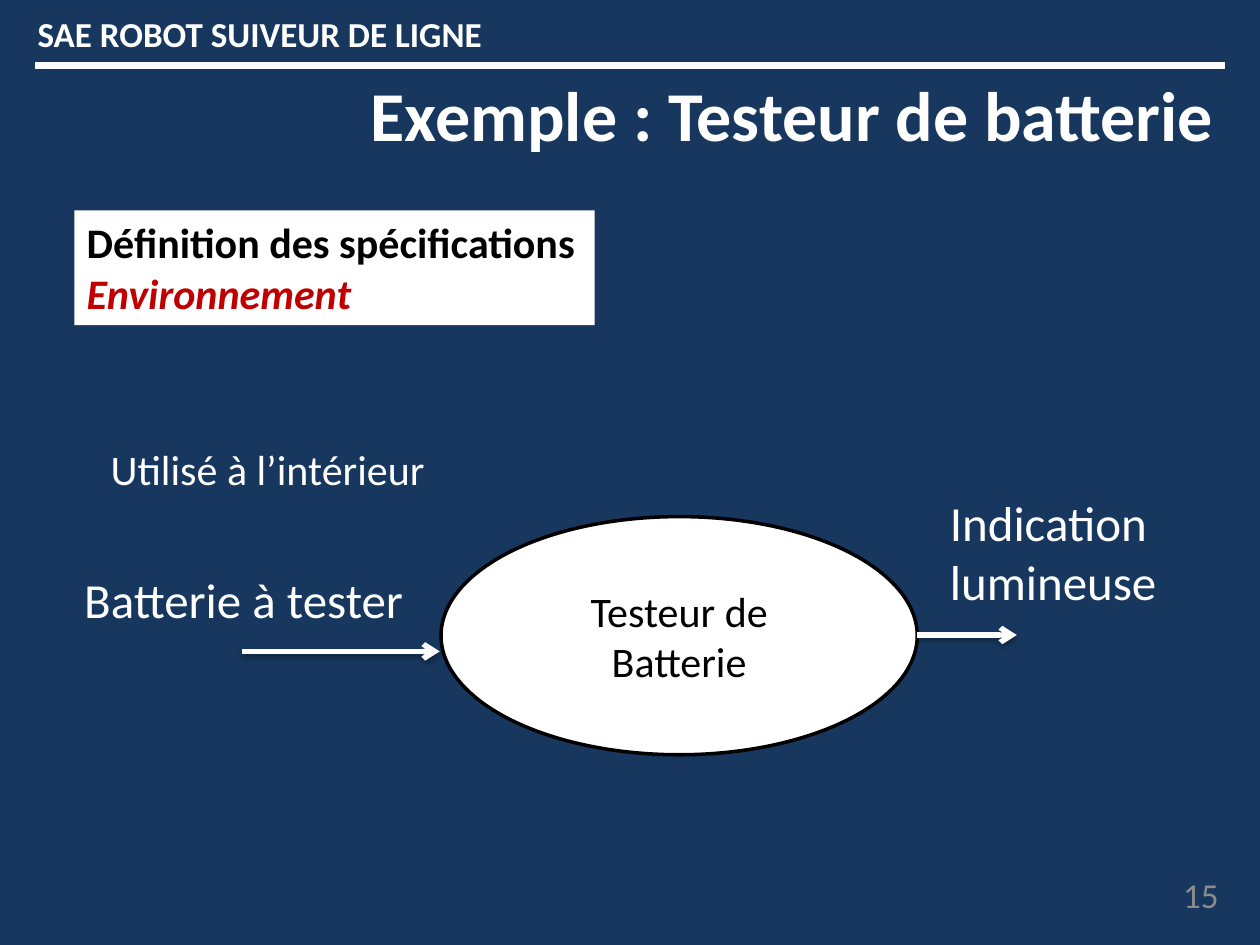
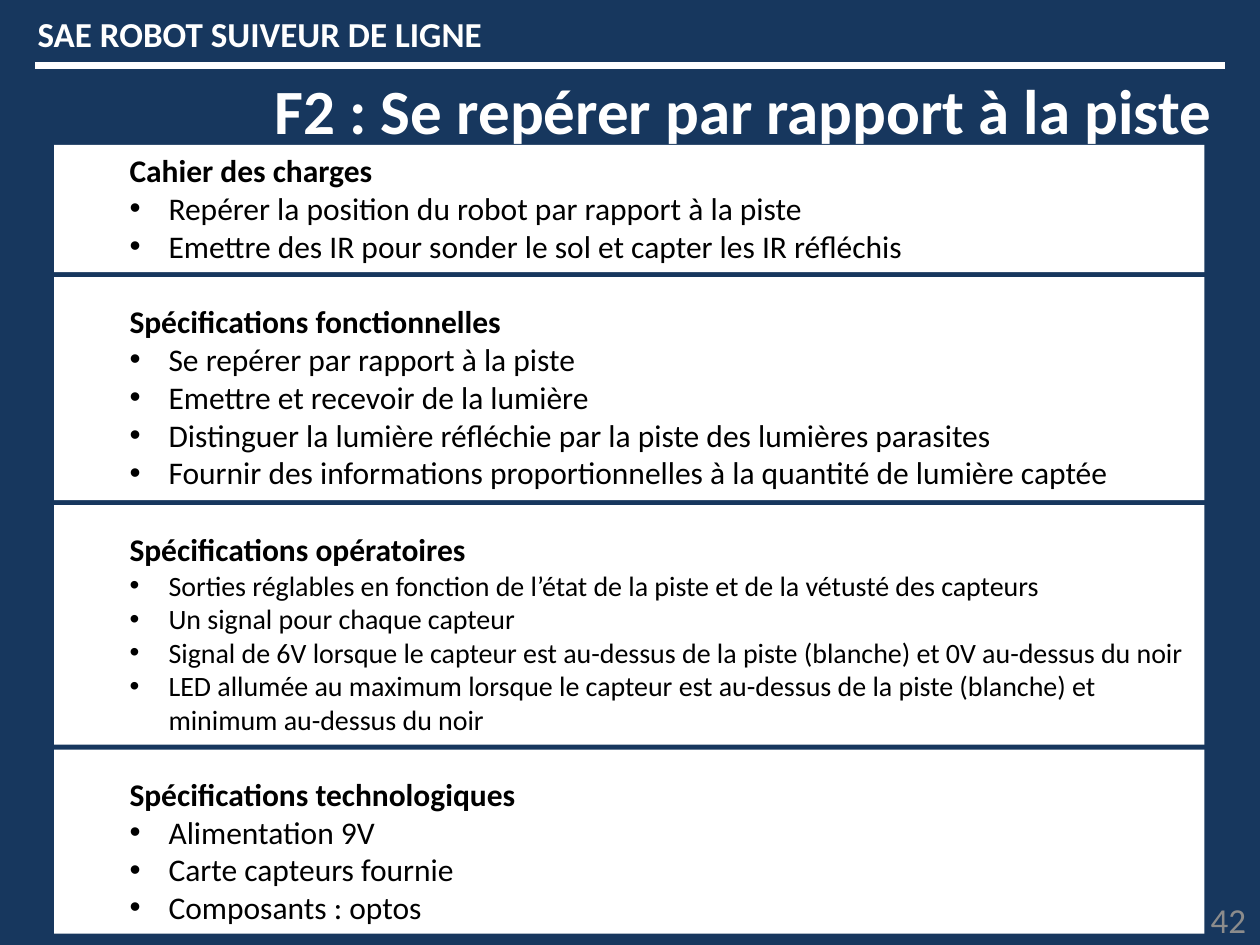
from dataclasses import dataclass

from lxml.etree import SubElement
from pptx import Presentation
from pptx.dml.color import RGBColor
from pptx.enum.shapes import MSO_CONNECTOR, MSO_SHAPE
from pptx.enum.text import MSO_ANCHOR, PP_ALIGN
from pptx.oxml.ns import qn
from pptx.presentation import Presentation as Deck
from pptx.shapes.autoshape import Shape
from pptx.shapes.connector import Connector
from pptx.slide import Slide
from pptx.text.text import TextFrame, _Paragraph as Paragraph
from pptx.util import Inches, Pt

NAVY = RGBColor(0x17, 0x37, 0x5E)
WHITE = RGBColor(0xFF, 0xFF, 0xFF)
BLACK = RGBColor(0x00, 0x00, 0x00)
RED = RGBColor(0xC0, 0x00, 0x00)
GREY = RGBColor(0x8C, 0x8C, 0x8C)

FONT = "Calibri"
HEADER = "SAE ROBOT SUIVEUR DE LIGNE"
TITLE_ONLY = 5

CARD_LEFT, CARD_TOP, CARD_WIDTH, CARD_GAP = 0.43, 1.15, 9.13, 0.04
HEADING_INDENT, BULLET_INDENT, BULLET_HANG = 0.5, 0.81, 0.31


@dataclass(frozen=True)
class Area:
    """A rectangle in inches."""
    left: float
    top: float
    width: float
    height: float

    def lengths(self) -> tuple[int, ...]:
        return tuple(Inches(value) for value in
                     (self.left, self.top, self.width, self.height))


@dataclass(frozen=True)
class Style:
    size: float
    color: RGBColor = WHITE
    bold: bool = False
    italic: bool = False


@dataclass(frozen=True)
class Label:
    text: str
    area: Area
    size: float


@dataclass(frozen=True)
class Arrow:
    start: float
    end: float
    height: float


@dataclass(frozen=True)
class Card:
    heading: str
    bullets: tuple[str, ...]
    height: float
    bullet_size: float = 18
    heading_spacing: float = 1.5


LABELS = (
    Label("Indication lumineuse", Area(7.44, 3.86, 1.89, 1.04), 28),
    Label("Batterie à tester", Area(0.57, 4.47, 2.77, 0.57), 28),
    Label("Utilisé à l’intérieur", Area(0.78, 3.47, 2.72, 0.5), 24),
)

ARROWS = (Arrow(7.28, 8.07, 5.04), Arrow(1.92, 3.49, 5.17))

CARDS = (
    Card("Cahier des charges", (
        "Repérer la position du robot par rapport à la piste",
        "Emettre des IR pour sonder le sol et capter les IR réfléchis",
    ), 1.01, heading_spacing=1.0),
    Card("Spécifications fonctionnelles", (
        "Se repérer par rapport à la piste",
        "Emettre et recevoir de la lumière",
        "Distinguer la lumière réfléchie par la piste des lumières parasites",
        "Fournir des informations proportionnelles à la quantité de lumière captée",
    ), 1.77),
    Card("Spécifications opératoires", (
        "Sorties réglables en fonction de l’état de la piste et de la vétusté des capteurs",
        "Un signal pour chaque capteur",
        "Signal de 6V lorsque le capteur est au-dessus de la piste (blanche) et 0V au-dessus du noir",
        "LED allumée au maximum lorsque le capteur est au-dessus de la piste (blanche) et "
        "minimum au-dessus du noir",
    ), 1.9, bullet_size=16),
    Card("Spécifications technologiques", (
        "Alimentation 9V",
        "Carte capteurs fournie",
        "Composants : optos",
    ), 1.46),
)


def add_span(para: Paragraph, text: str, style: Style) -> None:
    span = para.add_run()
    span.text = text
    span.font.name = FONT
    span.font.size = Pt(style.size)
    span.font.color.rgb = style.color
    span.font.bold = style.bold
    span.font.italic = style.italic


def add_line(frame: TextFrame, text: str, style: Style,
             align: PP_ALIGN = PP_ALIGN.LEFT) -> Paragraph:
    """Write a paragraph, using the empty first one when there is no text yet."""
    para = frame.paragraphs[0] if not frame.text else frame.add_paragraph()
    para.alignment = align
    add_span(para, text, style)
    return para


def indent(para: Paragraph, left: float, hang: float = 0) -> None:
    """Indent a paragraph; a hanging indent also gets a bullet."""
    properties = para._p.get_or_add_pPr()
    properties.set("marL", str(Inches(left)))
    properties.set("indent", str(-Inches(hang)))
    if hang:
        SubElement(properties, qn("a:buFont"), typeface="Arial")
        SubElement(properties, qn("a:buChar"), char="•")


def add_text(page: Slide, text: str, area: Area, style: Style,
             align: PP_ALIGN = PP_ALIGN.LEFT,
             anchor: MSO_ANCHOR = MSO_ANCHOR.TOP) -> None:
    frame = page.shapes.add_textbox(*area.lengths()).text_frame
    frame.word_wrap = True
    frame.vertical_anchor = anchor
    add_line(frame, text, style, align)


def add_white_shape(page: Slide, kind: MSO_SHAPE, area: Area) -> Shape:
    shape = page.shapes.add_shape(kind, *area.lengths())
    shape.shadow.inherit = False
    shape.fill.solid()
    shape.fill.fore_color.rgb = WHITE
    shape.line.fill.background()
    shape.text_frame.word_wrap = True
    shape.text_frame.vertical_anchor = MSO_ANCHOR.TOP
    return shape


def add_rule(page: Slide, start: float, end: float, height: float,
             weight: float) -> Connector:
    """Draw a horizontal white line without a shadow."""
    rule = page.shapes.add_connector(
        MSO_CONNECTOR.STRAIGHT, Inches(start), Inches(height),
        Inches(end), Inches(height))
    rule.line.color.rgb = WHITE
    rule.line.width = Pt(weight)
    SubElement(rule._element.spPr, qn("a:effectLst"))
    return rule


def add_arrow(page: Slide, arrow: Arrow) -> None:
    """Draw a line with an arrowhead and a soft shadow below it."""
    rule = add_rule(page, arrow.start, arrow.end, arrow.height, 3)
    SubElement(rule.line._get_or_add_ln(), qn("a:tailEnd"), type="arrow")
    effects = rule._element.spPr.find(qn("a:effectLst"))
    shadow = SubElement(effects, qn("a:outerShdw"), blurRad=str(Pt(3.1)),
                        dist=str(Pt(1.8)), dir="5400000", rotWithShape="0")
    color = SubElement(shadow, qn("a:srgbClr"), val=str(BLACK))
    SubElement(color, qn("a:alpha"), val="35000")


def add_page(deck: Deck, title: str, title_area: Area, title_size: float,
             number: str, number_area: Area) -> Slide:
    """Start a slide with its title, header band and number."""
    page = deck.slides.add_slide(deck.slide_layouts[TITLE_ONLY])
    box = page.shapes.title
    box.left, box.top, box.width, box.height = title_area.lengths()
    box.text_frame.word_wrap = True
    box.text_frame.vertical_anchor = MSO_ANCHOR.TOP
    add_line(box.text_frame, title, Style(title_size, bold=True), PP_ALIGN.RIGHT)
    add_rule(page, 0.28, 9.72, 0.52, 4)
    add_text(page, HEADER, Area(0.2, 0.05, 3.76, 0.44), Style(20, bold=True))
    add_text(page, number, number_area, Style(20, GREY),
             PP_ALIGN.RIGHT, MSO_ANCHOR.MIDDLE)
    return page


def add_card(page: Slide, card: Card, top: float) -> None:
    area = Area(CARD_LEFT, top, CARD_WIDTH, card.height)
    frame = add_white_shape(page, MSO_SHAPE.RECTANGLE, area).text_frame
    heading = add_line(frame, card.heading, Style(18, BLACK, bold=True))
    heading.line_spacing = card.heading_spacing
    indent(heading, HEADING_INDENT)
    for bullet in card.bullets:
        para = add_line(frame, bullet, Style(card.bullet_size, BLACK))
        indent(para, BULLET_INDENT, BULLET_HANG)


def build_battery_tester(deck: Deck) -> None:
    page = add_page(deck, "Exemple : Testeur de batterie",
                    Area(2.75, 0.52, 6.98, 1.11), 40,
                    "15", Area(7.44, 6.9, 2.33, 0.4))

    tester = add_white_shape(page, MSO_SHAPE.OVAL, Area(3.5, 4.1, 3.78, 1.89))
    tester.line.color.rgb = BLACK
    tester.line.width = Pt(2)
    tester.text_frame.vertical_anchor = MSO_ANCHOR.MIDDLE
    add_line(tester.text_frame, "Testeur de Batterie", Style(24, BLACK),
             PP_ALIGN.CENTER)

    for arrow in ARROWS:
        add_arrow(page, arrow)
    for label in LABELS:
        add_text(page, label.text, label.area, Style(label.size))

    step = add_white_shape(page, MSO_SHAPE.RECTANGLE, Area(0.59, 1.67, 4.13, 0.91))
    add_line(step.text_frame, "Définition des spécifications",
             Style(24, BLACK, bold=True))
    add_line(step.text_frame, "Environnement",
             Style(24, RED, bold=True, italic=True))


def build_track_function(deck: Deck) -> None:
    page = add_page(deck, "F2 : Se repérer par rapport à la piste",
                    Area(2.01, 0.52, 7.71, 0.71), 36,
                    "42", Area(7.66, 7.1, 2.33, 0.4))
    top = CARD_TOP
    for card in CARDS:
        add_card(page, card, top)
        top += card.height + CARD_GAP


def main() -> None:
    deck = Presentation()
    deck.slide_width = Inches(10)
    deck.slide_height = Inches(7.5)
    background = deck.slide_master.background.fill
    background.solid()
    background.fore_color.rgb = NAVY
    build_battery_tester(deck)
    build_track_function(deck)
    deck.save("out.pptx")


if __name__ == "__main__":
    main()
